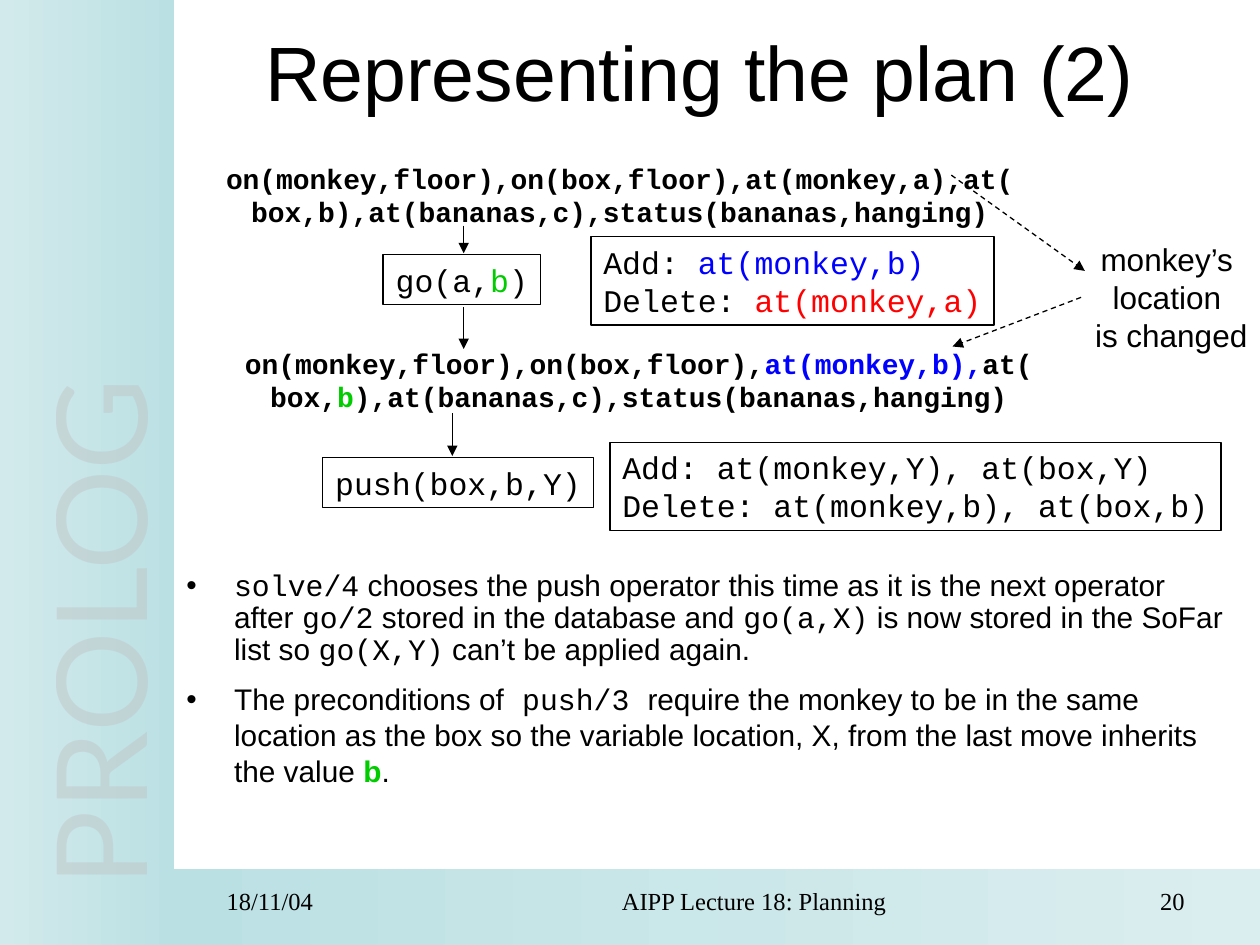
import pptx
import pptx.dml.color
import pptx.enum.dml
import pptx.enum.shapes
import pptx.enum.text
import pptx.oxml.ns
import pptx.util
import lxml.etree

# The grid has 100 columns and 75 rows
WIDTH, HEIGHT = pptx.util.Inches(10), pptx.util.Inches(7.5)
COLUMN, ROW = WIDTH / 100, HEIGHT / 75

BLACK, BLUE, RED, GREEN = "000000", "0000FF", "FF0000", "00CC00"
ALIGN = pptx.enum.text.PP_ALIGN
ANCHOR = pptx.enum.text.MSO_ANCHOR
RECTANGLE = pptx.enum.shapes.MSO_SHAPE.RECTANGLE

TITLE = {"name": "Arial", "size": pptx.util.Pt(44)}
LABEL = {"name": "Arial", "size": pptx.util.Pt(18)}
STATE = {"name": "Courier New", "size": pptx.util.Pt(16), "bold": True}
CODE = {"name": "Courier New", "size": pptx.util.Pt(18)}
BODY = {"name": "Arial", "size": pptx.util.Pt(17)}
FOOTER = {"name": "Times New Roman", "size": pptx.util.Pt(14)}
BANNER = {"name": "Lato", "size": pptx.util.Pt(72)}
MONO = {"name": "Courier New"}


def set_values(target, values):
    for name, value in values.items():
        setattr(target, name, value)


def paint(fill, color):
    fill.solid()
    fill.fore_color.rgb = pptx.dml.color.RGBColor.from_string(color)


def place(left, top, width, height):
    return [round(length) for length in
            (left * COLUMN, top * ROW, width * COLUMN, height * ROW)]


def add_child(parent, tag, **attributes):
    child = lxml.etree.SubElement(parent, pptx.oxml.ns.qn(tag))
    for name, value in attributes.items():
        child.set(name, value)
    return child


def add_panel(slide, area, colors):
    panel = slide.shapes.add_shape(RECTANGLE, *place(*area))
    panel.shadow.inherit = False
    panel.line.fill.background()
    panel.fill.gradient()
    panel.fill.gradient_angle = 180
    for stop, color in zip(panel.fill.gradient_stops, colors):
        stop.color.rgb = pptx.dml.color.RGBColor.from_string(color)


def write(shape, lines, style, layout=None, wrap=True, anchor=ANCHOR.TOP, bullet=None):
    """Each line is a list of runs: (text, color, font changes)."""
    frame = shape.text_frame
    set_values(frame, {"word_wrap": wrap, "vertical_anchor": anchor})
    for index, runs in enumerate(lines):
        paragraph = frame.add_paragraph() if index else frame.paragraphs[0]
        set_values(paragraph, {"alignment": ALIGN.LEFT, **(layout or {})})
        if bullet:
            properties = paragraph._p.get_or_add_pPr()
            set_indent = pptx.util.Inches(0.38)
            properties.set("marL", str(set_indent))
            properties.set("indent", str(-set_indent))
            add_child(properties, "a:buFont", typeface="Arial")
            add_child(properties, "a:buChar", char=bullet)
        for text, color, changes in runs:
            run = paragraph.add_run()
            run.text = text
            set_values(run.font, {**style, **changes})
            paint(run.font.fill, color)
    return frame


def add_text(slide, area, lines, style, **options):
    box = slide.shapes.add_textbox(*place(*area))
    write(box, lines, style, **options)
    return box


def add_code_box(slide, area, lines, alignment=ALIGN.LEFT):
    box = slide.shapes.add_shape(RECTANGLE, *place(*area))
    box.shadow.inherit = False
    box.fill.background()
    paint(box.line.fill, BLACK)
    box.line.width = pptx.util.Pt(0.75)
    write(box, lines, CODE, layout={"alignment": alignment}, wrap=False)


def add_arrow(slide, start, end, dashed=False):
    arrow = slide.shapes.add_connector(
        pptx.enum.shapes.MSO_CONNECTOR.STRAIGHT, *place(*start, *end))
    paint(arrow.line.fill, BLACK)
    arrow.line.width = pptx.util.Pt(0.75)
    if dashed:
        arrow.line.dash_style = pptx.enum.dml.MSO_LINE.DASH
    add_child(arrow.line._get_or_add_ln(), "a:tailEnd", type="triangle")
    add_child(arrow._element.spPr, "a:effectLst")


def plain(text, color=BLACK, **changes):
    return text, color, changes


def code(text):
    return text, BLACK, MONO


def add_background(slide):
    add_panel(slide, (13.8, 69, 86.2, 6), ("DBEEEF", "BBE0E3"))
    add_panel(slide, (0, 0, 13.8, 75), ("BBE0E3", "D2EAEC"))
    banner = add_text(slide, (-27.7, 31.7, 68.5, 10.7),
                      [[plain("PROLOG", "C0C0C0")]], BANNER, wrap=False)
    banner.rotation = 270
    color = next(banner._element.iter(pptx.oxml.ns.qn("a:srgbClr")))
    add_child(color, "a:alpha", val="42000")


def add_plan(slide):
    centered = {"alignment": ALIGN.CENTER}

    # States
    first = [plain("on(monkey,floor),on(box,floor),at(monkey,a),at("
                   "box,b),at(bananas,c),status(bananas,hanging)")]
    second = [plain("on(monkey,floor),on(box,floor),"), plain("at(monkey,b),", BLUE),
              plain("at(box,"), plain("b", GREEN),
              plain("),at(bananas,c),status(bananas,hanging)")]
    for left, top, runs in ((16.9, 12.3, first), (18.4, 27, second)):
        add_text(slide, (left, top, 64.6, 6.4), [runs], STATE, layout=centered)

    # Operators and their effects
    add_code_box(slide, (30.4, 20.2, 12.5, 4),
                 [[plain("go(a,"), plain("b", GREEN), plain(")")]], ALIGN.CENTER)
    add_code_box(slide, (25.6, 36.3, 21.5, 4), [[plain("push(box,b,Y)")]], ALIGN.CENTER)
    add_code_box(slide, (46.9, 18.8, 32, 7),
                 [[plain("Add: "), plain("at(monkey,b)", BLUE)],
                  [plain("Delete: "), plain("at(monkey,a)", RED)]])
    add_code_box(slide, (48.4, 35.1, 48.5, 7),
                 [[plain("Add: at(monkey,Y), at(box,Y)")],
                  [plain("Delete: at(monkey,b), at(box,b)")]])

    # Flow arrows
    for column, top, bottom in ((36.8, 17.9, 20.1), (36.8, 24.4, 27.7), (35.9, 32.8, 36.2)):
        add_arrow(slide, (column, top), (column, bottom))

    # Remark on the changed location
    add_text(slide, (85.9, 18.6, 14.1, 10),
             [[plain(text)] for text in ("monkey’s ", "location ", "is changed")],
             LABEL, layout=centered, wrap=False)
    add_arrow(slide, (75.5, 13.9), (86.1, 21.5), dashed=True)
    add_arrow(slide, (85.8, 23.6), (75.6, 27.5), dashed=True)


def add_explanation(slide):
    choice = [code("solve/4"),
              plain(" chooses the push operator this time as it is the next operator after "),
              code("go/2"), plain(" stored in the database and "), code("go(a,X)"),
              plain(" is now stored in the SoFar list so "), code("go(X,Y)"),
              plain(" can’t be applied again.")]
    inheritance = [plain("The preconditions of"), code(" push/3 "),
                   plain("require the monkey to be in the same location as the box so the "
                         "variable location, X, from the last move inherits the value "),
                   plain("b", GREEN, bold=True), plain(".")]
    body = add_text(slide, (13.8, 44.8, 84.8, 21.1), [choice, inheritance], BODY, bullet="•")
    before, after = body.text_frame.paragraphs
    before.line_spacing = 0.9
    after.space_before = pptx.util.Pt(8)


def add_footer(slide):
    for left, width, text, alignment in (
            (14.6, 18.1, "18/11/04", ALIGN.LEFT),
            (34.2, 48.9, "AIPP Lecture 18: Planning", ALIGN.CENTER),
            (84.7, 10.3, "20", ALIGN.RIGHT)):
        box = add_text(slide, (left, 69.8, width, 3.7), [[plain(text)]], FOOTER,
                       layout={"alignment": alignment})
        properties = box.text_frame.paragraphs[0]._p.get_or_add_pPr()
        properties.set("marL", str(pptx.util.Inches(0.24)))


def main():
    presentation = pptx.Presentation()
    set_values(presentation, {"slide_width": WIDTH, "slide_height": HEIGHT})
    slide = presentation.slides.add_slide(presentation.slide_layouts[6])
    add_background(slide)
    add_text(slide, (13.8, 2.1, 83.5, 7.1), [[plain("Representing the plan (2)")]], TITLE,
             layout={"alignment": ALIGN.CENTER}, anchor=ANCHOR.MIDDLE)
    add_plan(slide)
    add_explanation(slide)
    add_footer(slide)
    presentation.save("out.pptx")


if __name__ == "__main__":
    main()
